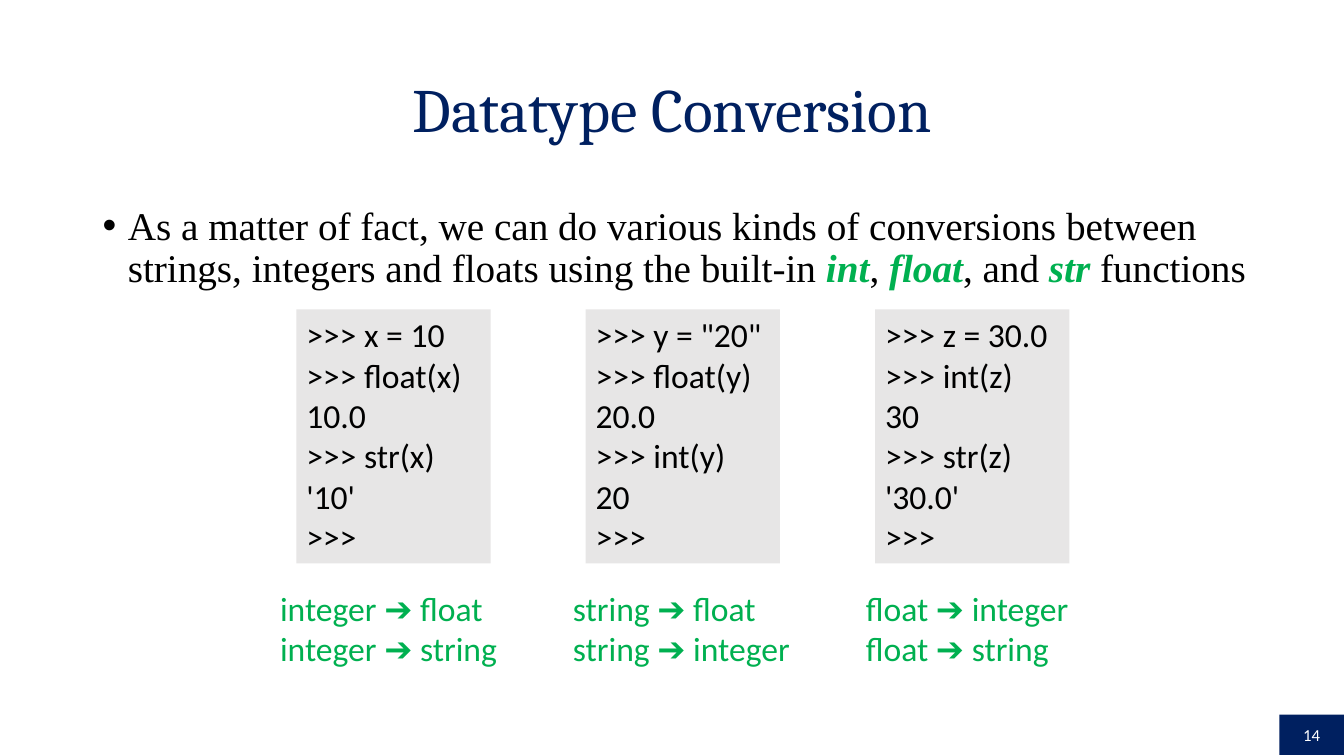
import pptx
import pptx.dml.color
import pptx.enum.shapes
import pptx.enum.text
import pptx.oxml.ns
import pptx.util
from lxml import etree

RGBColor = pptx.dml.color.RGBColor
NAVY = RGBColor(0x00, 0x20, 0x60)
GREEN = RGBColor(0x00, 0xB0, 0x50)
GREY = RGBColor(0xE7, 0xE6, 0xE6)
BLACK = RGBColor(0, 0, 0)
WHITE = RGBColor(255, 255, 255)

ALIGN = pptx.enum.text.PP_ALIGN
ANCHOR = pptx.enum.text.MSO_ANCHOR

EXAMPLES = [
    ([">>> x = 10", ">>> float(x)", "10.0", ">>> str(x)", "'10'", ">>>"],
     ["integer ➔ float", "integer ➔ string"]),
    ([">>> y = \"20\"", ">>> float(y)", "20.0", ">>> int(y)", "20", ">>>"],
     ["string ➔ float", "string ➔ integer"]),
    ([">>> z = 30.0", ">>> int(z)", "30", ">>> str(z)", "'30.0'", ">>>"],
     ["float ➔ integer", "float ➔ string"]),
]
INTRO = [
    ("As a matter of fact, we can do various kinds of conversions between "
     "strings, integers and floats using the built-in ", False),
    ("int", True), (", ", False), ("float", True), (", and ", False),
    ("str", True), (" functions", False),
]


def apply(target, formats):
    for name, value in formats.items():
        setattr(target, name, value)


class Deck:
    columns = 100
    rows = 100
    code_font = {"name": "Calibri", "size": pptx.util.Pt(24)}
    body_font = {"name": "Times New Roman", "size": pptx.util.Pt(28)}
    title_font = {"name": "Cambria", "size": pptx.util.Pt(44)}
    badge_font = {"name": "Calibri", "size": pptx.util.Pt(12)}

    def __init__(self):
        self.prs = pptx.Presentation()
        apply(self.prs, {"slide_width": pptx.util.Inches(13.33),
                         "slide_height": pptx.util.Inches(7.5)})
        self.s = self.prs.slides.add_slide(self.prs.slide_layouts[5])

    def place(self, column, row, width, height):
        dx = self.prs.slide_width / self.columns
        dy = self.prs.slide_height / self.rows
        return [round(n) for n in (column * dx, row * dy, width * dx, height * dy)]

    def run(self, p, text, font, color):
        r = p.add_run()
        r.text = text
        apply(r.font, font)
        r.font.color.rgb = color

    def lines(self, tf, lines, font, color, **formats):
        for i, line in enumerate(lines):
            p = tf.add_paragraph() if i else tf.paragraphs[0]
            apply(p, formats)
            self.run(p, line, font, color)

    def title(self, text, *grid):
        sp = self.s.shapes.title
        apply(sp, dict(zip(("left", "top", "width", "height"), self.place(*grid))))
        sp.text_frame.vertical_anchor = ANCHOR.MIDDLE
        self.lines(sp.text_frame, [text], self.title_font, NAVY,
                   alignment=ALIGN.CENTER, line_spacing=0.9)

    def bullet(self, parts, *grid):
        tf = self.s.shapes.add_textbox(*self.place(*grid)).text_frame
        tf.word_wrap = True
        p = tf.paragraphs[0]
        pPr = p._p.get_or_add_pPr()
        apply_indent = {"marL": 0.25, "indent": -0.25}
        for name, inches in apply_indent.items():
            pPr.set(name, str(pptx.util.Inches(inches)))
        for tag, attribute, value in (("a:buFont", "typeface", "Arial"),
                                      ("a:buChar", "char", "•")):
            etree.SubElement(pPr, pptx.oxml.ns.qn(tag)).set(attribute, value)
        p.line_spacing = 0.9
        for text, strong in parts:
            self.run(p, text, {**self.body_font, "bold": strong, "italic": strong},
                     GREEN if strong else BLACK)

    def box(self, lines, fill, font, color, anchor, align, *grid):
        sp = self.s.shapes.add_shape(
            pptx.enum.shapes.MSO_SHAPE.RECTANGLE, *self.place(*grid))
        sp.shadow.inherit = False
        sp.fill.solid()
        sp.fill.fore_color.rgb = fill
        sp.line.fill.background()
        apply(sp.text_frame, {"word_wrap": True, "vertical_anchor": anchor})
        self.lines(sp.text_frame, lines, font, color, alignment=align)

    def code(self, lines, *grid):
        self.box(lines, GREY, self.code_font, BLACK, ANCHOR.TOP, ALIGN.LEFT, *grid)

    def badge(self, text, *grid):
        self.box([text], NAVY, self.badge_font, WHITE, ANCHOR.MIDDLE, ALIGN.CENTER, *grid)

    def label(self, lines, *grid):
        tf = self.s.shapes.add_textbox(*self.place(*grid)).text_frame
        tf.word_wrap = False
        self.lines(tf, lines, self.code_font, GREEN, alignment=ALIGN.LEFT)


def main():
    deck = Deck()
    deck.title("Datatype Conversion", 6.9, 5.2, 86.27, 19.33)
    deck.bullet(INTRO, 6.9, 26.67, 88.67, 68.53)
    for i, (session, conversions) in enumerate(EXAMPLES):
        deck.code(session, 22.05 + 21.53 * i, 40.93, 14.45, 33.6)
        deck.label(conversions, 20.1 + 21.79 * i, 77.07, 18.38, 12.13)
    deck.badge("14", 95.2, 94.53, 4.8, 5.33)
    deck.prs.save("out.pptx")


if __name__ == "__main__":
    main()
